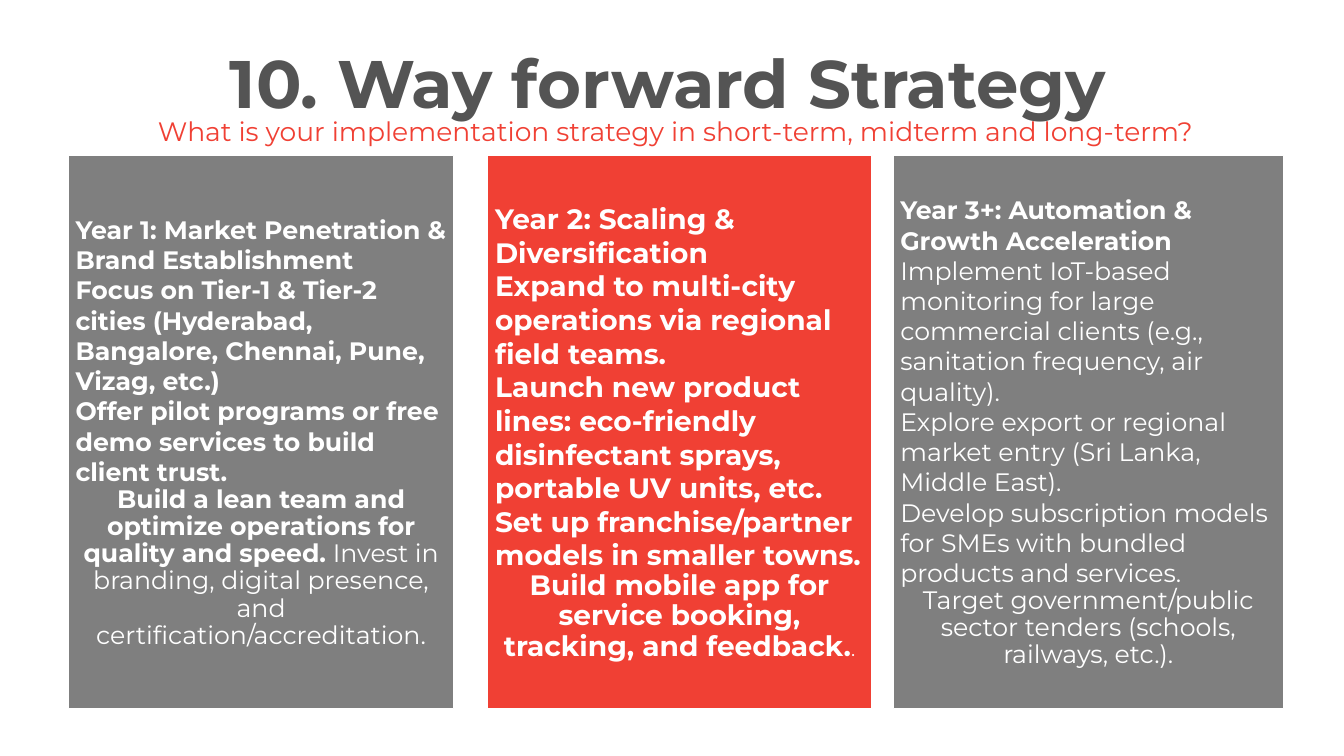
from pptx import Presentation
from pptx.dml.color import RGBColor
from pptx.enum.shapes import MSO_SHAPE
from pptx.enum.text import MSO_ANCHOR, PP_ALIGN
from pptx.util import Inches, Pt

GREY, RED, WHITE, CHARCOAL = "7F7F7F", "F04034", "FFFFFF", "545454"
LEFT, CENTER = PP_ALIGN.LEFT, PP_ALIGN.CENTER


def color(value):
    return RGBColor.from_string(value)


class SlideBuilder:
    font = "Montserrat"

    def __init__(self, deck):
        self.page = deck.slides.add_slide(deck.slide_layouts[6])

    def add_span(self, para, text, size, ink, bold):
        span = para.add_run()
        span.text = text
        span.font.name = self.font
        span.font.size = Pt(size)
        span.font.bold = bold
        span.font.color.rgb = color(ink)

    def heading(self, place, text, size, ink, bold, spacing):
        box = self.page.shapes.add_textbox(*map(Inches, place))
        box.text_frame.word_wrap = True
        para = box.text_frame.paragraphs[0]
        para.alignment = CENTER
        para.line_spacing = spacing
        self.add_span(para, text, size, ink, bold)

    def panel(self, left, width, fill, inset, size, paragraphs):
        box = self.page.shapes.add_shape(
            MSO_SHAPE.RECTANGLE, Inches(left), Inches(1.54), Inches(width), Inches(5.49))
        box.shadow.inherit = False
        box.fill.solid()
        box.fill.fore_color.rgb = color(fill)
        box.line.color.rgb = color(WHITE)
        box.line.width = Pt(1)
        frame = box.text_frame
        frame.word_wrap = True
        frame.vertical_anchor = MSO_ANCHOR.MIDDLE
        frame.margin_left = frame.margin_right = Inches(inset)
        frame.margin_top = frame.margin_bottom = Inches(inset)
        for index, spans in enumerate(paragraphs):
            is_last = index == len(paragraphs) - 1
            para = frame.add_paragraph() if index else frame.paragraphs[0]
            para.alignment = CENTER if is_last else LEFT
            para.line_spacing = 0.9 if is_last else 1.0
            para.space_before = para.space_after = Pt(0)
            for text, bold, *own_size in spans:
                self.add_span(para, text, own_size[0] if own_size else size, WHITE, bold)


def main():
    deck = Presentation()
    deck.slide_width, deck.slide_height = Inches(13.33), Inches(7.5)
    builder = SlideBuilder(deck)

    builder.heading((0.05, 0.52, 13.15, 0.75), "10. Way forward Strategy",
                    48, CHARCOAL, True, 0.8)
    builder.heading((-0.04, 1.09, 13.48, 0.42),
                    "What is your implementation strategy in short-term, midterm and long-term?",
                    19, RED, False, 1.0)

    year_one = [
        [("Year 1: Market Penetration & Brand Establishment", True)],
        [("Focus on Tier-1 & Tier-2 cities (Hyderabad, Bangalore, Chennai, Pune, Vizag, etc.)", True)],
        [("Offer pilot programs or free demo services to build client trust.", True)],
        [("Build a lean team and optimize operations for quality and speed.", True),
         (" Invest in branding, digital presence, and certification/accreditation.", False)],
    ]
    year_two = [
        [("Year 2: Scaling & Diversification", True)],
        [("Expand to multi-city operations via regional field teams.", True)],
        [("Launch new product lines: eco-friendly disinfectant sprays, portable UV units, etc.", True)],
        [("Set up franchise/partner models in smaller towns.", True)],
        [("Build mobile app for service booking, tracking, and feedback.", True),
         (".", False, 14)],
    ]
    year_three = [
        [("Year 3+: Automation & Growth Acceleration", True)],
        [("Implement IoT-based monitoring for large commercial clients "
          "(e.g., sanitation frequency, air quality).", False)],
        [("Explore export or regional market entry (Sri Lanka, Middle East).", False)],
        [("Develop subscription models for SMEs with bundled products and services.", False)],
        [("Target government/public sector tenders (schools, railways, etc.).", False)],
    ]
    builder.panel(0.68, 3.82, GREY, 0.07, 18, year_one)
    builder.panel(4.83, 3.82, RED, 0.08, 20, year_two)
    builder.panel(8.86, 3.87, GREY, 0.07, 18, year_three)

    deck.save("out.pptx")


if __name__ == "__main__":
    main()
